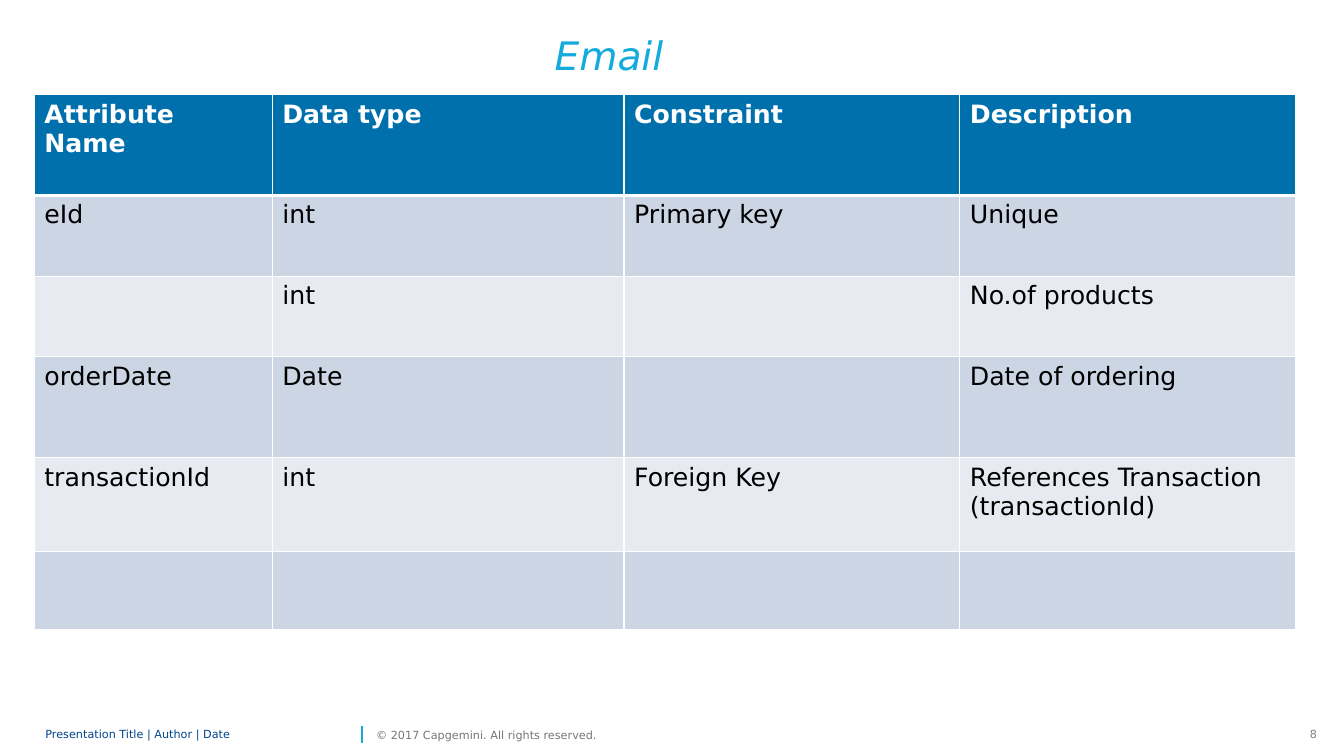
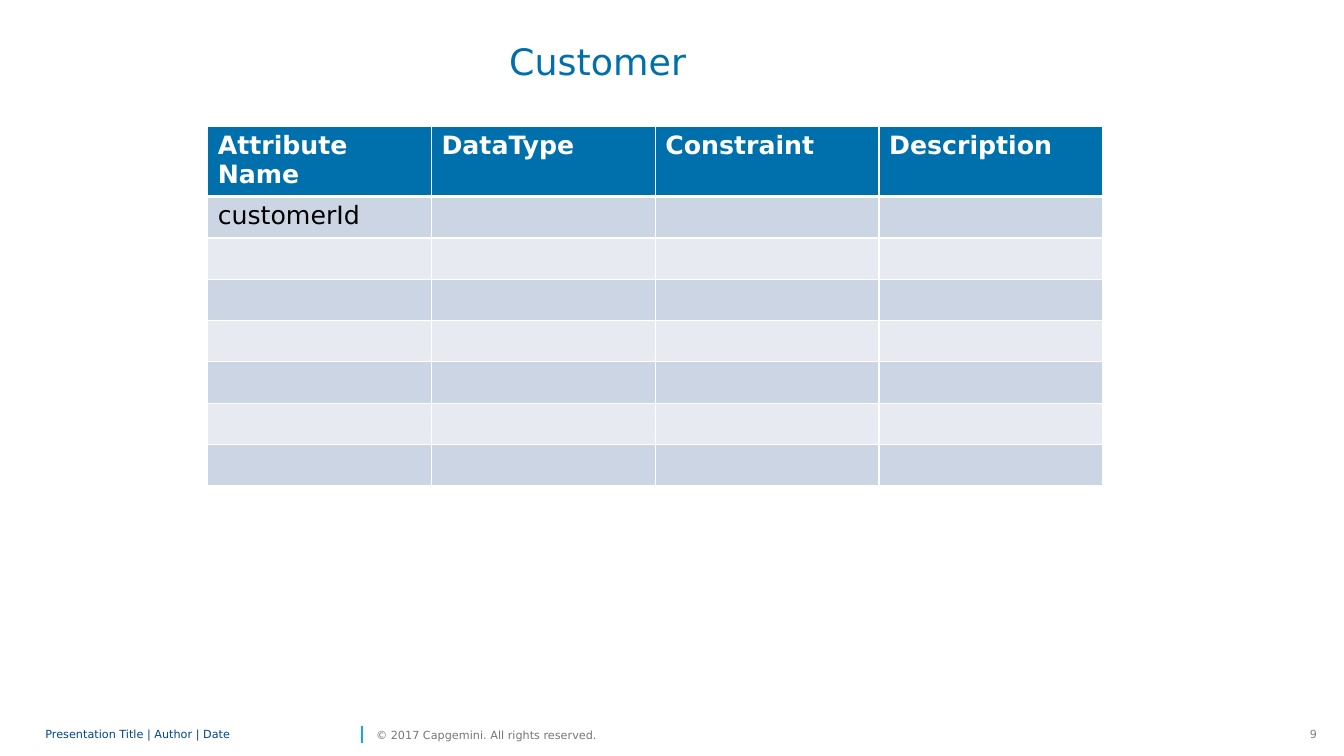
from dataclasses import dataclass

from lxml.etree import SubElement
from pptx import Presentation
from pptx.dml.color import RGBColor
from pptx.enum.shapes import MSO_CONNECTOR
from pptx.enum.text import MSO_ANCHOR, MSO_AUTO_SIZE, PP_ALIGN
from pptx.oxml.ns import qn
from pptx.slide import Slide
from pptx.table import _Cell
from pptx.text.text import TextFrame
from pptx.util import Emu, Pt

EMU_PER_PX = 9144  # 100 px to the inch
FONT = "DejaVu Sans"
COLORS = {
    "white": "FFFFFF",
    "black": "000000",
    "blue": "0070AD",
    "cyan": "12ABDB",
    "navy": "00458D",
    "band_dark": "CCD5E3",
    "band_light": "E7EBF1",
    "page_grey": "808080",
    "copyright_grey": "767676",
}


@dataclass(frozen=True)
class Box:
    left: int
    top: int
    width: int
    height: int


@dataclass(frozen=True)
class TextStyle:
    size: int
    color: str
    bold: bool = False
    italic: bool = False
    align: PP_ALIGN = PP_ALIGN.LEFT
    line_spacing: float | Pt = 1.0


@dataclass(frozen=True)
class Title:
    text: str
    box: Box
    style: TextStyle
    indent: int = 0


@dataclass(frozen=True)
class Grid:
    left: int
    top: int
    columns: list[int]
    heights: list[int]
    rows: list[list[str]]


@dataclass(frozen=True)
class EntityPage:
    number: int
    title: Title
    grid: Grid


@dataclass(frozen=True)
class FooterText:
    text: str
    box: Box
    style: TextStyle
    wrap: bool


HEADER_STYLE = TextStyle(18, "white", bold=True)
BODY_STYLE = TextStyle(18, "black")
PAGE_NUMBER_STYLE = TextStyle(8, "page_grey", align=PP_ALIGN.RIGHT)
FOOTER_TEXTS = [
    FooterText("Presentation Title | Author | Date", Box(45, 717, 309, 24),
               TextStyle(8, "navy", line_spacing=0.85), True),
    FooterText("© 2017 Capgemini. All rights reserved.", Box(373, 717, 243, 24),
               TextStyle(8, "copyright_grey"), False),
]

PAGES = [
    EntityPage(
        8,
        Title("Email", Box(301, 47, 606, 48),
              TextStyle(28, "cyan", italic=True, align=PP_ALIGN.CENTER,
                        line_spacing=Pt(22))),
        Grid(34, 94, [236, 349, 333, 333], [100, 80, 80, 100, 93, 78], [
            ["Attribute Name", "Data type", "Constraint", "Description"],
            ["eId", "int", "Primary key", "Unique"],
            ["", "int", "", "No.of products"],
            ["orderDate", "Date", "", "Date of ordering"],
            ["transactionId", "int", "Foreign Key",
             "References Transaction (transactionId)"],
            [""] * 4,
        ]),
    ),
    EntityPage(
        9,
        Title("Customer", Box(299, 44, 703, 95),
              TextStyle(26, "blue", line_spacing=0.9), indent=206),
        Grid(206, 125, [222] * 4, [67] + [41] * 7, [
            ["Attribute Name", "DataType", "Constraint", "Description"],
            ["customerId", "", "", ""],
            *[[""] * 4 for _ in range(6)],
        ]),
    ),
]


def px(length: int) -> Emu:
    return Emu(length * EMU_PER_PX)


def color(name: str) -> RGBColor:
    return RGBColor.from_string(COLORS[name])


def box_lengths(box: Box) -> tuple[Emu, Emu, Emu, Emu]:
    return px(box.left), px(box.top), px(box.width), px(box.height)


def write(frame: TextFrame, text: str, style: TextStyle) -> None:
    paragraph = frame.paragraphs[0]
    paragraph.alignment = style.align
    paragraph.line_spacing = style.line_spacing
    run = paragraph.add_run()
    run.text = text
    run.font.name = FONT
    run.font.size = Pt(style.size)
    run.font.bold = style.bold
    run.font.italic = style.italic
    run.font.color.rgb = color(style.color)


def clear_margins(frame: TextFrame, left: int = 0) -> None:
    frame.margin_left = px(left)
    frame.margin_top = frame.margin_right = frame.margin_bottom = 0


def add_title(slide: Slide, title: Title) -> None:
    shape = slide.shapes.title
    shape.left, shape.top, shape.width, shape.height = box_lengths(title.box)
    frame = shape.text_frame
    frame.word_wrap = True
    frame.auto_size = MSO_AUTO_SIZE.NONE
    frame.vertical_anchor = MSO_ANCHOR.TOP
    clear_margins(frame, title.indent)
    write(frame, title.text, title.style)


def add_footer(slide: Slide, number: int) -> None:
    # Page number
    number_box = slide.shapes.add_textbox(*box_lengths(Box(1289, 717, 27, 24)))
    number_box.text_frame.word_wrap = False
    write(number_box.text_frame, str(number), PAGE_NUMBER_STYLE)

    # Divider
    divider = slide.shapes.add_connector(
        MSO_CONNECTOR.STRAIGHT, px(359), px(737), px(359), px(720))
    divider.line.color.rgb = color("cyan")
    divider.line.width = Pt(1)
    SubElement(divider._element.spPr, qn("a:effectLst"))

    # Document line and copyright
    for item in FOOTER_TEXTS:
        frame = slide.shapes.add_textbox(*box_lengths(item.box)).text_frame
        frame.word_wrap = item.wrap
        frame.vertical_anchor = MSO_ANCHOR.MIDDLE
        clear_margins(frame)
        write(frame, item.text, item.style)


def set_borders(cell: _Cell, top: int, bottom: int) -> None:
    properties = cell._tc.get_or_add_tcPr()
    for side, width in (("L", 1), ("R", 1), ("T", top), ("B", bottom)):
        line = SubElement(properties, qn(f"a:ln{side}"), w=str(Pt(width)))
        fill = SubElement(line, qn("a:solidFill"))
        SubElement(fill, qn("a:srgbClr"), val=COLORS["white"])


def row_fill(row_index: int) -> str:
    if row_index == 0:
        return "blue"
    return "band_dark" if row_index % 2 else "band_light"


def add_grid(slide: Slide, grid: Grid) -> None:
    box = Box(grid.left, grid.top, sum(grid.columns), sum(grid.heights))
    table = slide.shapes.add_table(
        len(grid.rows), len(grid.columns), *box_lengths(box)).table
    for column, width in zip(table.columns, grid.columns):
        column.width = px(width)
    for row, height in zip(table.rows, grid.heights):
        row.height = px(height)

    for row_index, texts in enumerate(grid.rows):
        style = BODY_STYLE if row_index else HEADER_STYLE
        for column_index, text in enumerate(texts):
            cell = table.cell(row_index, column_index)
            # The rule under the header is heavier than the others
            set_borders(cell, top=3 if row_index == 1 else 1,
                        bottom=3 if row_index == 0 else 1)
            cell.fill.solid()
            cell.fill.fore_color.rgb = color(row_fill(row_index))
            if text:
                write(cell.text_frame, text, style)


def main() -> None:
    presentation = Presentation()
    presentation.slide_width = px(1333)
    presentation.slide_height = px(750)
    title_only = presentation.slide_layouts.get_by_name("Title Only")
    for page in PAGES:
        slide = presentation.slides.add_slide(title_only)
        add_footer(slide, page.number)
        add_title(slide, page.title)
        add_grid(slide, page.grid)
    presentation.save("out.pptx")


if __name__ == "__main__":
    main()
